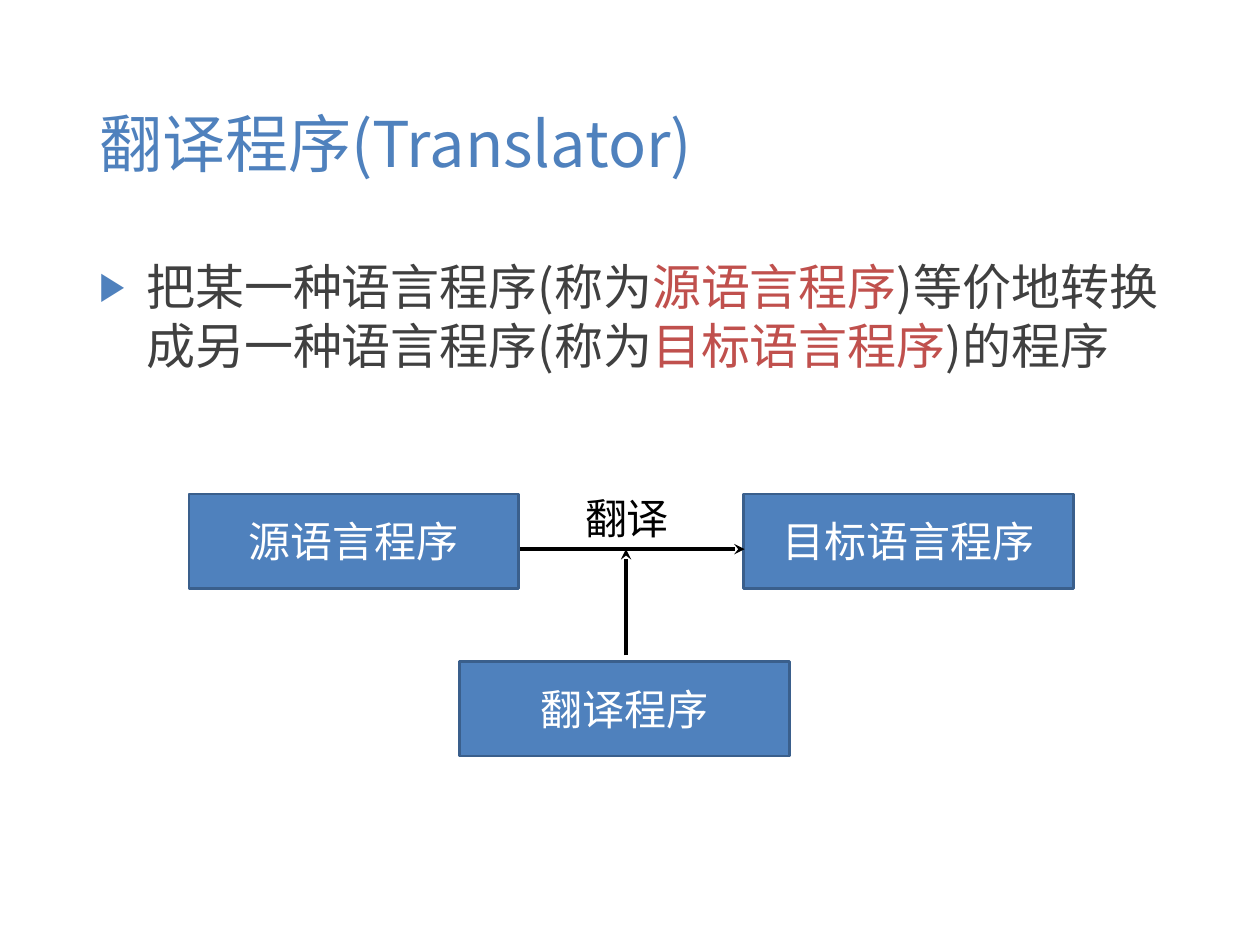
from dataclasses import dataclass

from lxml import etree
from pptx import Presentation
from pptx.dml.color import RGBColor
from pptx.enum.shapes import MSO_CONNECTOR, MSO_SHAPE
from pptx.enum.text import MSO_ANCHOR, PP_ALIGN
from pptx.oxml.ns import qn
from pptx.util import Cm, Pt

BLUE = RGBColor(0x4F, 0x81, 0xBD)
DARK_BLUE = RGBColor(0x3A, 0x5F, 0x8C)
RED = RGBColor(0xC0, 0x50, 0x4D)
GRAY = RGBColor(0x40, 0x40, 0x40)
BLACK = RGBColor(0, 0, 0)
WHITE = RGBColor(0xFF, 0xFF, 0xFF)
FONT = "Noto Sans CJK SC"
RECT = MSO_SHAPE.RECTANGLE
STRAIGHT = MSO_CONNECTOR.STRAIGHT
TOP, MIDDLE = MSO_ANCHOR.TOP, MSO_ANCHOR.MIDDLE
LEFT, CENTER = PP_ALIGN.LEFT, PP_ALIGN.CENTER

BOX_W, BOX_H = 6.65, 1.9
TOP_ROW, BOTTOM_ROW = 9.96, 13.34
ARROW_Y, ARROW_X = 11.07, 12.62


@dataclass
class Run:
    text: str
    color: RGBColor


@dataclass
class Box:
    text: str
    left: float
    top: float


@dataclass
class Arrow:
    x1: float
    y1: float
    x2: float
    y2: float


BODY = [
    Run("把某一种语言程序(称为", GRAY),
    Run("源语言程序", RED),
    Run(")等价地转换成另一种语言程序(称为", GRAY),
    Run("目标语言程序", RED),
    Run(")的程序", GRAY),
]
BOXES = [
    Box("源语言程序", 3.81, TOP_ROW),
    Box("目标语言程序", 14.99, TOP_ROW),
    Box("翻译程序", 9.27, BOTTOM_ROW),
]
ARROWS = [
    Arrow(10.49, ARROW_Y, 15.01, ARROW_Y),
    Arrow(ARROW_X, 13.21, ARROW_X, ARROW_Y),
]


def write(sp, runs: list[Run], size: int, anchor=MIDDLE, align=CENTER, wrap=True):
    tf = sp.text_frame
    for name, value in {"word_wrap": wrap, "vertical_anchor": anchor}.items():
        setattr(tf, name, value)
    p = tf.paragraphs[0]
    p.alignment = align
    for run in runs:
        r = p.add_run()
        r.text = run.text
        for name, value in {"size": Pt(size), "name": FONT}.items():
            setattr(r.font, name, value)
        r.font.color.rgb = run.color
        etree.SubElement(r.font._element, qn("a:ea"), typeface=FONT)
    return p


def add_text(s, left: float, top: float, width: float, height: float,
             runs: list[Run], size: int, **layout):
    sp = s.shapes.add_textbox(Cm(left), Cm(top), Cm(width), Cm(height))
    return write(sp, runs, size, **layout)


def add_bullet(p) -> None:
    p.space_before = Pt(10)
    pPr = p._p.get_or_add_pPr()
    pPr.set("marL", str(Cm(0.95)))
    pPr.set("indent", str(Cm(-0.95)))
    color = etree.SubElement(pPr, qn("a:buClr"))
    etree.SubElement(color, qn("a:srgbClr"), val=str(BLUE))
    etree.SubElement(pPr, qn("a:buSzPct"), val="80000")
    etree.SubElement(pPr, qn("a:buFont"), typeface="Arial")
    etree.SubElement(pPr, qn("a:buChar"), char="▶")


def add_box(s, box: Box) -> None:
    sp = s.shapes.add_shape(RECT, Cm(box.left), Cm(box.top), Cm(BOX_W), Cm(BOX_H))
    sp.shadow.inherit = False
    sp.fill.solid()
    sp.fill.fore_color.rgb = BLUE
    sp.line.color.rgb = DARK_BLUE
    sp.line.width = Pt(1.5)
    write(sp, [Run(box.text, WHITE)], 24)


def add_arrow(s, arrow: Arrow) -> None:
    sp = s.shapes.add_connector(
        STRAIGHT, Cm(arrow.x1), Cm(arrow.y1), Cm(arrow.x2), Cm(arrow.y2))
    sp.line.color.rgb = BLACK
    sp.line.width = Pt(2)
    etree.SubElement(sp.line._get_or_add_ln(), qn("a:tailEnd"), type="stealth")
    etree.SubElement(sp._element.spPr, qn("a:effectLst"))


def main() -> None:
    prs = Presentation()
    prs.slide_width, prs.slide_height = Cm(25.4), Cm(19.05)
    s = prs.slides.add_slide(prs.slide_layouts[6])
    add_text(s, 1.75, 1.02, 21.92, 3.68, [Run("翻译程序(Translator)", BLUE)], 36,
             align=LEFT)
    body = add_text(s, 1.75, 5.05, 21.92, 12.09, BODY, 28, anchor=TOP, align=LEFT)
    add_bullet(body)
    for box in BOXES:
        add_box(s, box)
    for arrow in ARROWS:
        add_arrow(s, arrow)
    add_text(s, 10.52, 9.58, 4.24, 1.7, [Run("翻译", BLACK)], 24, wrap=False)
    prs.save("out.pptx")


if __name__ == "__main__":
    main()
